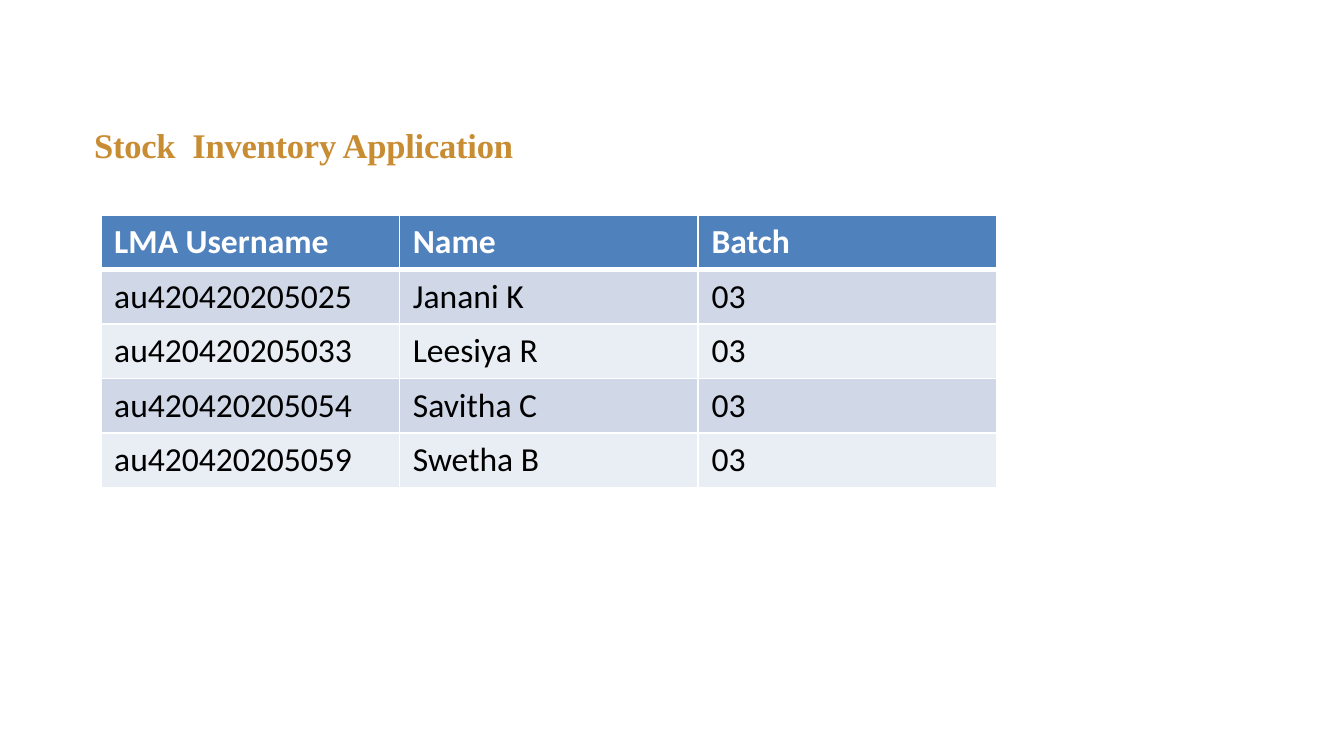
from lxml import etree
from pptx import Presentation
from pptx.dml.color import RGBColor
from pptx.enum.text import MSO_ANCHOR, MSO_AUTO_SIZE, PP_ALIGN
from pptx.oxml.ns import qn
from pptx.util import Inches, Pt

TOP, LEFT = MSO_ANCHOR.TOP, PP_ALIGN.LEFT
NO_FIT = MSO_AUTO_SIZE.NONE
WIDE = 10
HIGH = WIDE * 9 / 16
WHITE, BLACK, GOLD, BLUE = "FFFFFF", "000000", "C88C32", "4F81BD"
BANDS = ("D0D8E8", "E9EDF4")
ROWS = [
    ("LMA Username", "Name", "Batch"),
    ("au420420205025", "Janani K", "03"),
    ("au420420205033", "Leesiya R", "03"),
    ("au420420205054", "Savitha C", "03"),
    ("au420420205059", "Swetha B", "03"),
]


def color(code):
    return RGBColor.from_string(code)


def apply(item, form):
    for key, value in form.items():
        setattr(item, key, value)


def style(font, code, **form):
    apply(font, form)
    font.color.rgb = color(code)


def add_title(slide, text):
    title = slide.shapes.title
    apply(title, dict(left=Inches(0.26), top=Inches(0.9),
                      width=Inches(3.96), height=Inches(0.33)))
    frame = title.text_frame
    # The left margin sets the text in from the edge of its box
    apply(frame, dict(margin_left=Inches(0.44), margin_top=0, margin_right=0,
                      margin_bottom=0, word_wrap=True, auto_size=NO_FIT,
                      vertical_anchor=TOP))
    para = frame.paragraphs[0]
    apply(para, dict(text=text, alignment=LEFT, line_spacing=Pt(23.9)))
    run = para.runs[0]
    style(run.font, GOLD, name="Times New Roman", size=Pt(18.5), bold=True)
    run.font._element.set("spc", "-10")


def add_lines(cell, base):
    props = cell._tc.get_or_add_tcPr()
    for side, width in (("L", 1), ("R", 1), ("T", 1), ("B", base)):
        line = etree.SubElement(props, qn(f"a:ln{side}"), w=str(Pt(width)))
        fill = etree.SubElement(line, qn("a:solidFill"))
        etree.SubElement(fill, qn("a:srgbClr"), val=WHITE)


def fill_cell(cell, text, head, back):
    cell.text = text
    # Side lines must come before the fill in the cell's XML
    add_lines(cell, 3 if head else 1)
    cell.fill.solid()
    cell.fill.fore_color.rgb = color(back)
    font = cell.text_frame.paragraphs[0].runs[0].font
    style(font, WHITE if head else BLACK, name="Calibri", size=Pt(18), bold=head)


def add_grid(slide, rows):
    count, cols = len(rows), len(rows[0])
    table = slide.shapes.add_table(
        count, cols, Inches(0.75), Inches(1.6),
        Inches(WIDE * 2 / 3), Inches(2.03)).table
    for r, row in enumerate(rows):
        for c, text in enumerate(row):
            back = BANDS[(r - 1) % 2] if r else BLUE
            fill_cell(table.cell(r, c), text, r == 0, back)


def main():
    deck = Presentation()
    apply(deck, dict(slide_width=Inches(WIDE), slide_height=Inches(HIGH)))
    slide = deck.slides.add_slide(deck.slide_layouts[5])  # title only
    add_title(slide, "Stock  Inventory Application")
    add_grid(slide, ROWS)
    deck.save("out.pptx")


if __name__ == "__main__":
    main()
